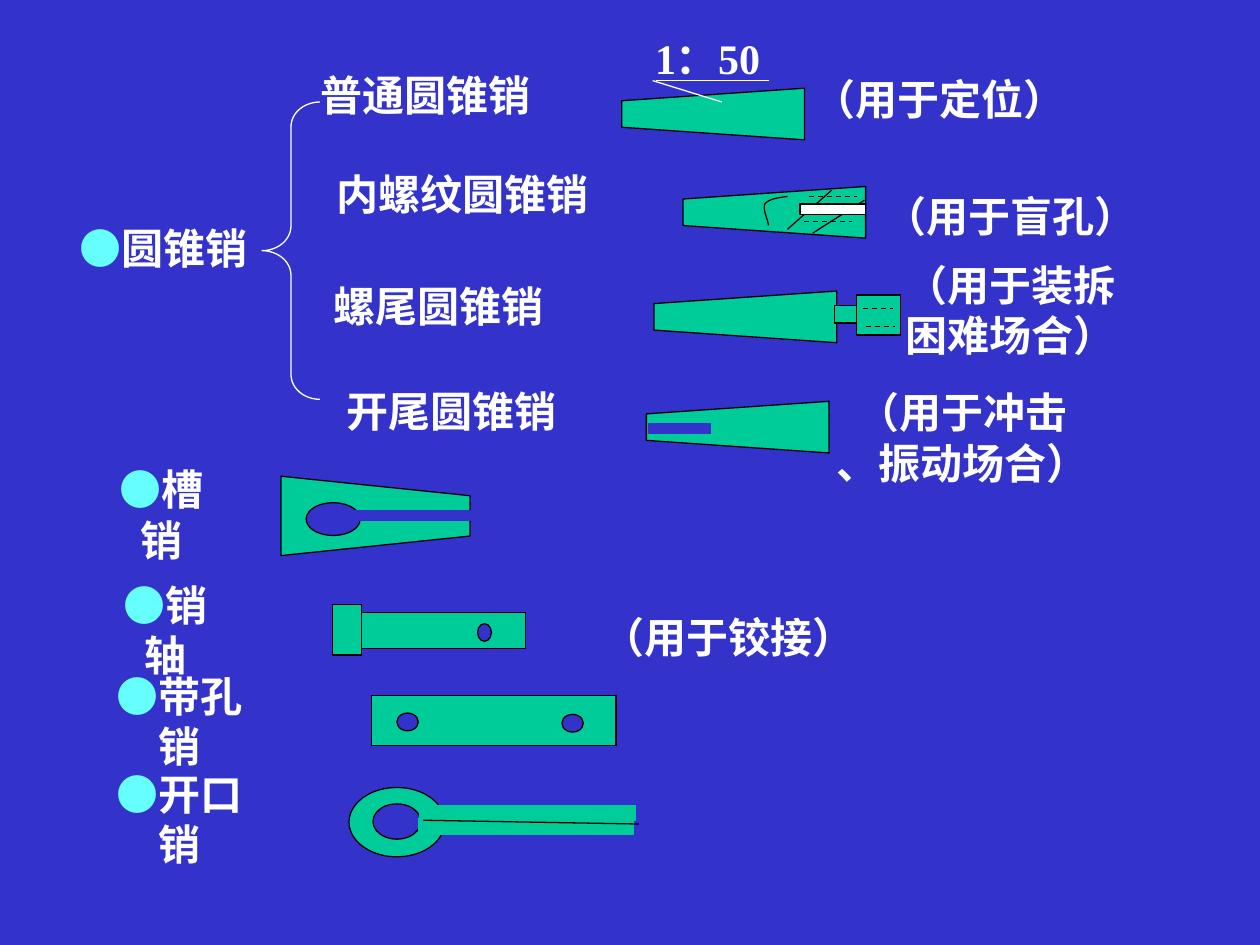
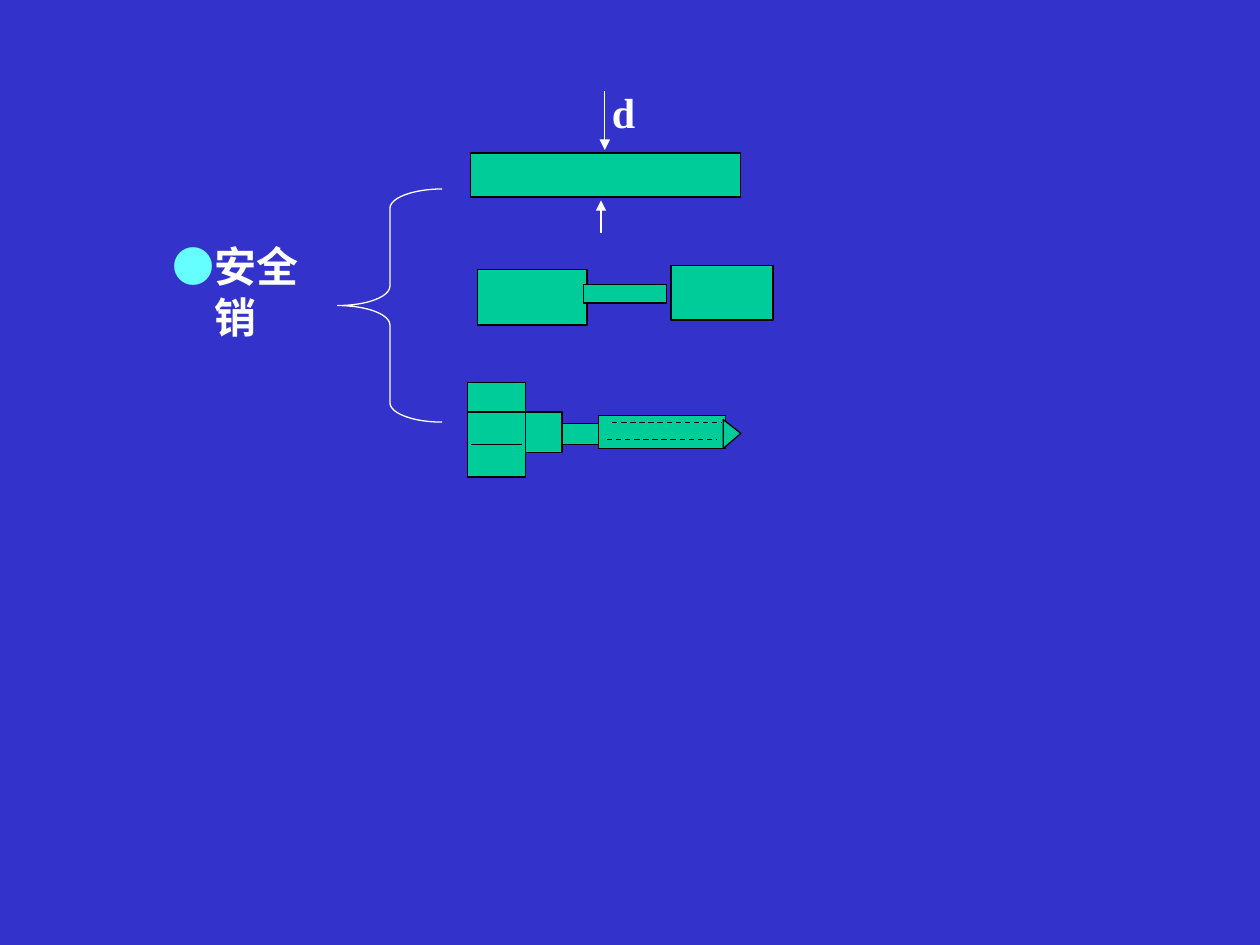
from lxml import etree
from pptx import Presentation, util as u
from pptx.dml.color import RGBColor
from pptx.enum import dml, shapes, text
from pptx.oxml import ns

COLS, ROWS = 100, 75
BLUE = RGBColor(0x33, 0x33, 0xCC)
GREEN = RGBColor(0x00, 0xCC, 0x99)
CYAN = RGBColor(0x66, 0xFF, 0xFF)
WHITE = RGBColor(0xFF, 0xFF, 0xFF)
BLACK = RGBColor(0x00, 0x00, 0x00)
FONT = "Times New Roman"
RECT = shapes.MSO_SHAPE.RECTANGLE
OVAL = shapes.MSO_SHAPE.OVAL


def bezier(p0, p1, p2, p3, steps=8):
    """Return points along a cubic curve."""
    points = []
    for i in range(steps + 1):
        t = i / steps
        weights = ((1 - t) ** 3, 3 * t * (1 - t) ** 2, 3 * t * t * (1 - t), t ** 3)
        points.append(tuple(sum(w * p[axis] for w, p in zip(weights, (p0, p1, p2, p3)))
                            for axis in (0, 1)))
    return points


class Deck:
    """Shared style and the current slide; lengths are grid columns and rows."""

    def __init__(self):
        self.prs = Presentation()
        self.prs.slide_width, self.prs.slide_height = u.Inches(10), u.Inches(7.5)
        self.s = None

    def x(self, col):
        return round(self.prs.slide_width * col / COLS)

    def y(self, row):
        return round(self.prs.slide_height * row / ROWS)

    def box(self, left, top, width, height):
        return self.x(left), self.y(top), self.x(width), self.y(height)

    def new_slide(self):
        self.s = self.prs.slides.add_slide(self.prs.slide_layouts[6])
        self.s.background.fill.solid()
        self.s.background.fill.fore_color.rgb = BLUE

    def paint(self, sp, fill, line):
        sp.shadow.inherit = False
        if fill is None:
            sp.fill.background()
        else:
            sp.fill.solid()
            sp.fill.fore_color.rgb = fill
        sp.line.color.rgb = line
        sp.line.width = u.Pt(0.75)
        return sp

    def shape(self, kind, left, top, width, height, fill=GREEN, line=BLACK):
        sp = self.s.shapes.add_shape(kind, *self.box(left, top, width, height))
        return self.paint(sp, fill, line)

    def hole(self, left, top, width, height):
        self.shape(OVAL, left, top, width, height, BLUE)

    def slot(self, left, top, width, height):
        self.shape(RECT, left, top, width, height, BLUE, BLUE)

    def brace(self, left, top, width, height):
        sp = self.shape(shapes.MSO_SHAPE.LEFT_BRACE, left, top, width, height, None, WHITE)
        sp.adjustments[0] = height / 12 / width

    def outline(self, points, closed=True, fill=GREEN):
        points = [(self.x(col), self.y(row)) for col, row in points]
        builder = self.s.shapes.build_freeform(*points[0])
        builder.add_line_segments(points[1:], close=closed)
        self.paint(builder.convert_to_shape(), fill, BLACK)

    def taper(self, left, top, width=14.5, left_height=2.1, right_height=4.1):
        """Draw a pin body that widens or narrows along its axis."""
        middle = top + max(left_height, right_height) / 2
        a, b = left_height / 2, right_height / 2
        right = left + width
        self.outline([(left, middle - a), (right, middle - b),
                      (right, middle + b), (left, middle + a)])

    def line(self, x1, y1, x2, y2, color=BLACK, dash=False, arrow=False):
        c = self.s.shapes.add_connector(shapes.MSO_CONNECTOR.STRAIGHT, self.x(x1),
                                        self.y(y1), self.x(x2), self.y(y2))
        c.line.color.rgb = color
        c.line.width = u.Pt(0.75)
        if dash:
            c.line.dash_style = dml.MSO_LINE.DASH
        if arrow:
            etree.SubElement(c.line._get_or_add_ln(), ns.qn("a:tailEnd"), type="triangle")
        etree.SubElement(c._element.spPr, ns.qn("a:effectLst"))

    def label(self, left, top, width, *lines, bullet=False):
        """Write centred bold lines, led by a round bullet if asked."""
        height = 1 + 4 * len(lines)
        tf = self.s.shapes.add_textbox(*self.box(left, top, width, height)).text_frame
        tf.word_wrap = True
        tf.vertical_anchor = text.MSO_ANCHOR.MIDDLE
        if not bullet:
            tf.margin_left = tf.margin_right = 0
        for i, words in enumerate(lines):
            p = tf.add_paragraph() if i else tf.paragraphs[0]
            p.alignment = text.PP_ALIGN.CENTER
            if bullet:
                self.run(p, "●", CYAN)
            self.run(p, words, WHITE)

    def run(self, p, words, color):
        r = p.add_run()
        r.text = words
        r.font.name, r.font.size, r.font.bold = FONT, u.Pt(24), True
        r.font.color.rgb = color


def taper_pins(d):
    d.label(-0.2, 17.2, 26.3, "圆锥销", bullet=True)
    for left, top, width, name in ((24.5, 5, 18.6, "普通圆锥销"),
                                   (25.7, 12.9, 22, "内螺纹圆锥销"),
                                   (25.5, 21.8, 18.6, "螺尾圆锥销"),
                                   (26.5, 30.1, 18.6, "开尾圆锥销")):
        d.label(left, top, width, name)
    for left, top, width, use in ((63.6, 5.3, 22, ["（用于定位）"]),
                                  (69.2, 14.6, 22, ["（用于盲孔）"]),
                                  (70.9, 20.1, 18.6, ["（用于装拆", "困难场合）"]),
                                  (65.4, 30.2, 22, ["（用于冲击", "、振动场合）"])):
        d.label(left, top, width, *use)
    for left, top in ((49.35, 7), (54.2, 14.8), (51.9, 23.1), (51.3, 31.85)):
        d.taper(left, top)
    d.brace(20.8, 8.1, 4.6, 23.6)

    # Taper ratio
    d.label(50.2, 2.1, 11.9, "1：50")
    d.line(52.1, 6.4, 61, 6.4, WHITE)
    d.line(51.8, 6.4, 57.3, 8.1, WHITE)

    # Internal thread
    d.outline(bezier((62.5, 15.6), (61.7, 15.7), (61, 15.8), (60.7, 16.2))
              + bezier((60.7, 16.2), (60.5, 16.6), (61, 17.6), (61, 17.9))[1:],
              closed=False, fill=None)
    d.line(66, 15.1, 62.5, 18.2)
    d.line(68.6, 15.9, 64.5, 18.5)
    d.shape(RECT, 63.5, 16.2, 5.2, 0.8, WHITE)
    d.line(64.2, 15.6, 68, 15.6, dash=True)
    d.line(63.8, 17.6, 67.6, 17.6, dash=True)

    # Threaded tail
    d.shape(RECT, 66.25, 24.25, 2, 1.4)
    d.shape(RECT, 68, 23.4, 3.5, 3.2)
    d.line(68.5, 24.5, 70.9, 24.5, dash=True)
    d.line(68.7, 25.9, 71, 25.9, dash=True)

    # Split tail
    d.slot(51.5, 33.6, 4.9, 0.8)


def other_pins(d):
    for left, top, width, name in ((7, 38.3, 11.6, "槽销"), (7.3, 47.5, 11.6, "销轴"),
                                   (6.8, 54.7, 14.9, "带孔销"), (6.8, 62.5, 14.9, "开口销")):
        d.label(left, top, width, name, bullet=True)

    # Grooved pin
    d.taper(22.3, 37.8, 15, 6.3, 3.2)
    d.hole(24.3, 39.9, 4.3, 2.6)
    d.slot(27.8, 40.5, 9.5, 0.8)

    # Clevis pin
    d.shape(RECT, 26.4, 48, 2.3, 4)
    d.shape(RECT, 28.7, 48.6, 13, 2.9)
    d.hole(37.9, 49.5, 1.1, 1.4)
    d.label(46.8, 48, 22, "（用于铰接）")

    # Pin with holes
    d.shape(RECT, 29.5, 55.2, 19.4, 4)
    d.hole(44.6, 56.7, 1.7, 1.4)
    d.hole(31.5, 56.6, 1.7, 1.4)

    # Cotter pin
    d.shape(OVAL, 27.7, 62.5, 7.6, 5.5)
    d.hole(29.6, 63.8, 3.8, 2.8)
    for left, top in ((33.3, 63.9), (33.2, 65)):
        d.shape(RECT, left, top, 17.1, 1.2, line=GREEN)
    d.line(33.6, 65.1, 50.7, 65.4)


def safety_pins(d):
    d.label(11.2, 20.6, 14.9, "安全销", bullet=True)
    d.brace(26.8, 15, 8.3, 18.5)

    # Plain pin with its diameter
    d.shape(RECT, 37.35, 12.15, 21.4, 3.5)
    d.label(47.6, 6.4, 3.8, "d")
    d.line(48, 7.2, 48, 11.9, WHITE, arrow=True)
    d.line(47.7, 18.5, 47.7, 15.9, WHITE, arrow=True)

    # Necked pin, then bolt: head, collar, neck, shank
    for part in ((37.9, 21.4, 8.7, 4.4), (46.3, 22.6, 6.6, 1.45), (53.25, 21.1, 8.1, 4.3),
                 (37.1, 30.35, 4.6, 7.5), (41.7, 32.7, 2.9, 3.2),
                 (44.6, 33.6, 2.9, 1.7), (47.5, 33, 10.1, 2.6)):
        d.shape(RECT, *part)
    d.outline([(57.4, 33.3), (58.8, 34.4), (57.4, 35.6)])
    d.line(37.1, 32.7, 41.7, 32.7)
    d.line(37.4, 35.3, 41.4, 35.3)
    d.line(48.6, 33.55, 57.3, 33.55, dash=True)
    d.line(48.2, 34.9, 56.9, 34.9, dash=True)


def main():
    d = Deck()
    d.new_slide()
    other_pins(d)
    taper_pins(d)
    d.new_slide()
    safety_pins(d)
    d.prs.save("out.pptx")


if __name__ == "__main__":
    main()
